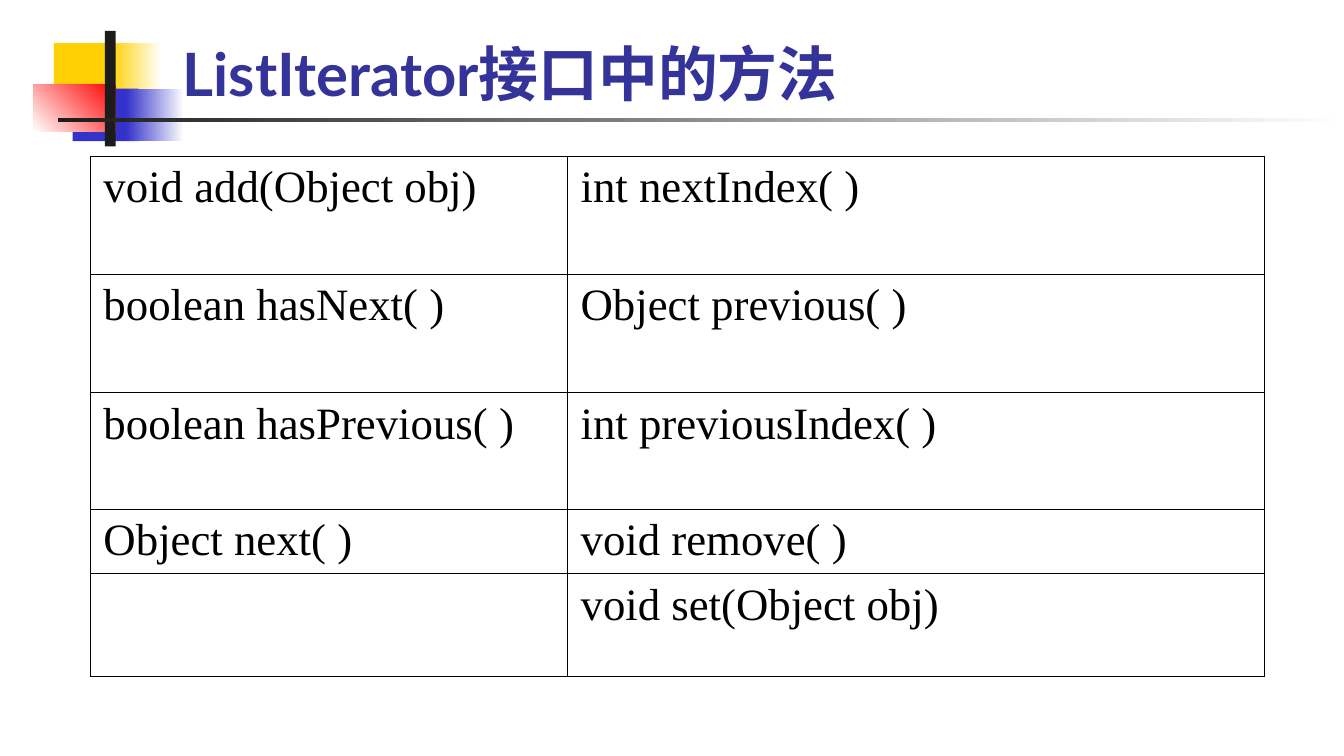
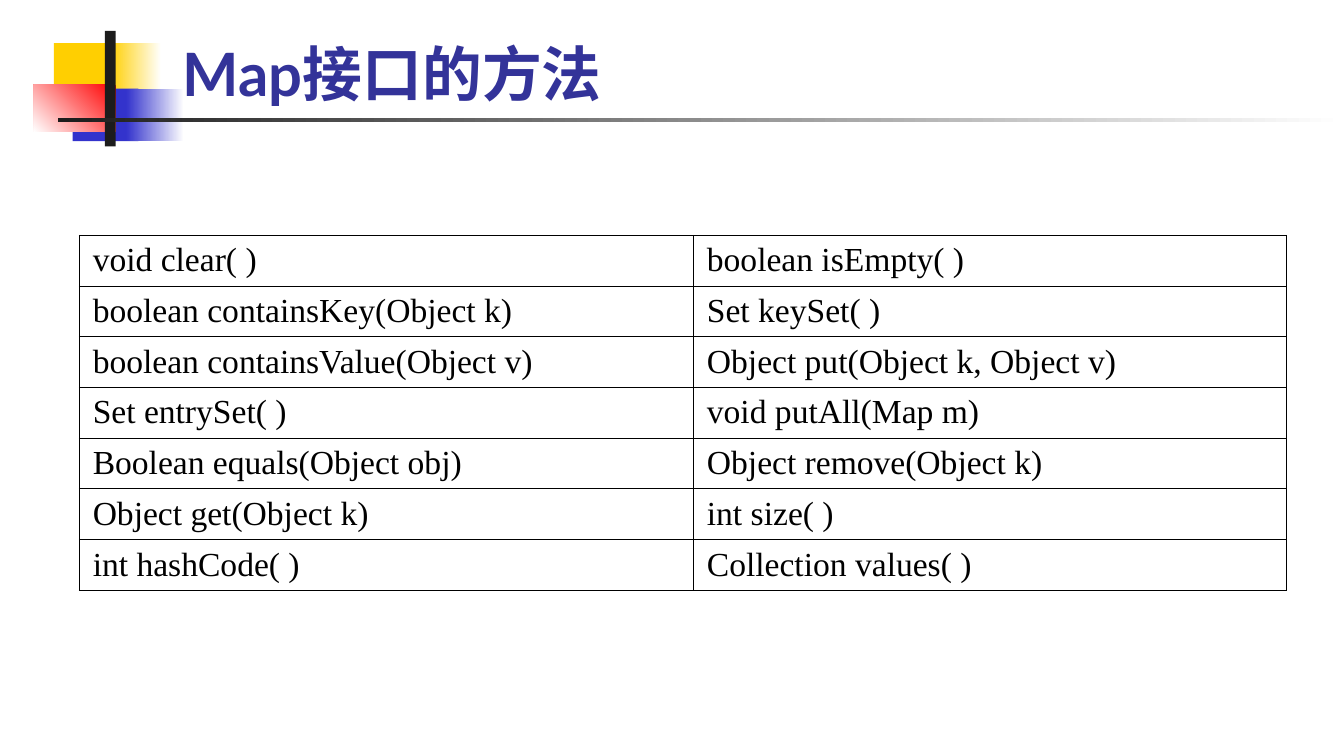
import lxml.etree
import pptx
import pptx.dml.color
import pptx.enum.shapes
import pptx.enum.text
import pptx.oxml.ns
import pptx.util

Inches = pptx.util.Inches
Pt = pptx.util.Pt

# Content
SLIDES = [
    {
        "title": "ListIterator接口中的方法",
        "at": (0.67, 1.16),
        "cols": [3.55, 5.19],
        "rows": [0.88, 0.88, 0.87, 0.48, 0.76],
        "size": 24,
        "methods": [
            ("void add(Object obj)", "int nextIndex( )"),
            ("boolean hasNext( )", "Object previous( )"),
            ("boolean hasPrevious( )", "int previousIndex( )"),
            ("Object next( )", "void remove( )"),
            ("", "void set(Object obj)"),
        ],
    },
    {
        "title": "Map接口的方法",
        "at": (0.59, 1.75),
        "cols": [4.57, 4.41],
        "rows": [2.63 / 7] * 7,
        "size": 18,
        "methods": [
            ("void clear( )", "boolean isEmpty( )"),
            ("boolean containsKey(Object k)", "Set keySet( )"),
            ("boolean containsValue(Object v)", "Object put(Object k, Object v)"),
            ("Set entrySet( )", "void putAll(Map m)"),
            ("Boolean equals(Object obj)", "Object remove(Object k)"),
            ("Object get(Object k)", "int size( )"),
            ("int hashCode( )", "Collection values( )"),
        ],
    },
]

# Shared look
YELLOW, BLUE, RED, DARK, WHITE = "FFCF01", "3333CC", "FF0000", "1C1C1C", "FFFFFF"
# (left, top, width, height), colours, clockwise gradient angle
ORNAMENTS = [
    ((0.4, 0.32, 0.51, 0.39), [YELLOW], 0),
    ((0.82, 0.32, 0.38, 0.39), [WHITE, YELLOW], 180),
    ((0.54, 0.66, 0.49, 0.39), [BLUE], 0),
    ((0.94, 0.66, 0.43, 0.39), [WHITE, BLUE], 180),
    ((0.25, 0.63, 0.61, 0.35), [RED, WHITE], 135),
    ((0.78, 0.23, 0.08, 0.86), [DARK], 0),
    ((0.43, 0.88, 9.57, 0.03), [WHITE, DARK], 180),
]
TITLE_BOX = (1.26, 0.17, 8.52, 0.69)
TITLE_FONT = {"name": "Lato", "size": Pt(32), "bold": True}
TITLE_COLOR = "333399"
CELL_FONT = {"name": "Times New Roman", "bold": False}
CELL_COLOR = BORDER_COLOR = "000000"
BORDER_WIDTH = Pt(0.45)


def rgb(color):
    return pptx.dml.color.RGBColor.from_string(color)


def set_font(font, values, color):
    for name, value in values.items():
        setattr(font, name, value)
    font.color.rgb = rgb(color)


def place(sp, box):
    for name, value in zip(("left", "top", "width", "height"), box):
        setattr(sp, name, Inches(value))


def add_ornaments(s):
    """Draw the corner blocks and rule, then hand them to the slide's layout."""
    tree = s.slide_layout.shapes._spTree
    for i, (box, colors, angle) in enumerate(ORNAMENTS):
        sp = s.shapes.add_shape(pptx.enum.shapes.MSO_SHAPE.RECTANGLE,
                                *map(Inches, box))
        sp.name = f"Ornament {i + 1}"
        sp.shadow.inherit = False
        sp.line.fill.background()
        if len(colors) == 1:
            sp.fill.solid()
            sp.fill.fore_color.rgb = rgb(colors[0])
        else:
            sp.fill.gradient()
            sp.fill.gradient_angle = 360 - angle
            for stop, color in zip(sp.fill.gradient_stops, colors):
                stop.color.rgb = rgb(color)
        sp._element.nvSpPr.cNvPr.set("id", str(100 + i))
        tree.insert(2 + i, sp._element)


def set_title(s, text):
    sp = s.shapes.title
    place(sp, TITLE_BOX)
    tf = sp.text_frame
    tf.text = text
    tf.auto_size = pptx.enum.text.MSO_AUTO_SIZE.NONE
    tf.vertical_anchor = pptx.enum.text.MSO_ANCHOR.BOTTOM
    p = tf.paragraphs[0]
    p.alignment = pptx.enum.text.PP_ALIGN.LEFT
    set_font(p.runs[0].font, TITLE_FONT, TITLE_COLOR)


def set_borders(cell):
    qn = pptx.oxml.ns.qn
    tc_pr = cell._tc.get_or_add_tcPr()
    for i, side in enumerate(("lnL", "lnR", "lnT", "lnB")):
        ln = lxml.etree.Element(qn(f"a:{side}"), w=str(int(BORDER_WIDTH)))
        fill = lxml.etree.SubElement(ln, qn("a:solidFill"))
        lxml.etree.SubElement(fill, qn("a:srgbClr"), val=BORDER_COLOR)
        tc_pr.insert(i, ln)


def add_methods(s, data):
    cols, rows = data["cols"], data["rows"]
    box = (*data["at"], sum(cols), sum(rows))
    table = s.shapes.add_table(len(rows), len(cols), *map(Inches, box)).table
    table.first_row = table.horz_banding = False
    for col, width in zip(table.columns, cols):
        col.width = Inches(width)
    for row, height, texts in zip(table.rows, rows, data["methods"]):
        row.height = Inches(height)
        for cell, text in zip(row.cells, texts):
            cell.fill.background()
            set_borders(cell)
            p = cell.text_frame.paragraphs[0]
            if text:
                r = p.add_run()
                r.text = text
                set_font(r.font, {**CELL_FONT, "size": Pt(data["size"])}, CELL_COLOR)


def main():
    prs = pptx.Presentation()
    prs.slide_width = Inches(10)
    prs.slide_height = prs.slide_width * 9 // 16
    layout = prs.slide_layouts[5]
    for i, data in enumerate(SLIDES):
        s = prs.slides.add_slide(layout)
        if i == 0:
            add_ornaments(s)
        set_title(s, data["title"])
        add_methods(s, data)
    prs.save("out.pptx")


if __name__ == "__main__":
    main()
